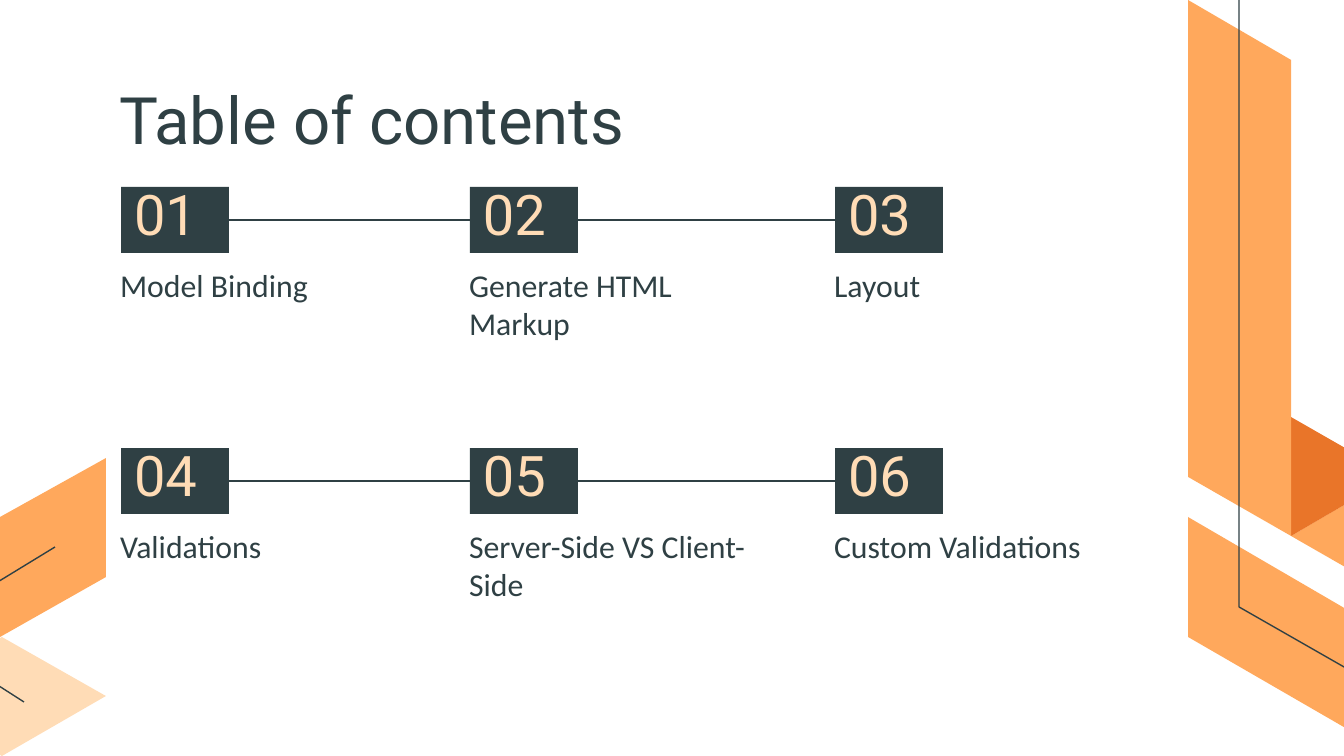
"""Build a table of contents slide with six numbered topics and ribbon decoration."""
from itertools import pairwise

from lxml import etree
from pptx import Presentation
from pptx.dml.color import RGBColor
from pptx.enum.shapes import MSO_CONNECTOR, MSO_SHAPE
from pptx.enum.text import MSO_ANCHOR, MSO_AUTO_SIZE, PP_ALIGN
from pptx.oxml.ns import qn
from pptx.util import Pt

RECTANGLE = MSO_SHAPE.RECTANGLE
STRAIGHT = MSO_CONNECTOR.STRAIGHT
TOP, MIDDLE = MSO_ANCHOR.TOP, MSO_ANCHOR.MIDDLE
LEFT = PP_ALIGN.LEFT
NO_FIT = MSO_AUTO_SIZE.NONE
RIGHT_SIDE, LEFT_SIDE = 3, 1

TITLE = "Table of contents"
TOPICS = [
    ["Model Binding", "Generate HTML Markup", "Layout"],
    ["Validations", "Server-Side VS Client-Side", "Custom Validations"],
]

THEME = {
    "dark": "2F4044", "orange": "FFA85C", "deep": "E97529", "peach": "FFDCB6",
    "paper": "FFFFFF", "heading": "Roboto", "body": "Calibri",
    "title_size": 35, "number_size": 30, "topic_size": 17, "line": 0.75,
}

LEFT_RIBBONS = [
    ("orange", [(0, 517), (106, 458), (106, 577), (0, 637)]),
    ("peach", [(2, 756), (-101, 696), (2, 637), (106, 696)]),
]
LEFT_LINE = [(24, 702), (-40, 661), (-40, 605), (55, 547)]
RIGHT_RIBBONS = [
    ("orange", [(1394, 595), (1497, 536), (1394, 476), (1291, 536)]),
    ("deep", [(1394, 476), (1291, 536), (1291, 417)]),
    ("orange", [(1188, 0), (1188, 477), (1291, 536), (1291, 60)]),
    ("orange", [(1188, 637), (1188, 517), (1394, 637), (1394, 756)]),
]
RIGHT_LINE = [(1239, 0), (1239, 607), (1456, 731)]

SCALE = 914400 / 134.4
SLIDE = (1344, 756)
TITLE_AREA = (106, 79, 1042, 77)
COLUMNS = [121, 470, 835]
ROWS = [187, 448]
NUMBER_SIZE = (108, 66)
TOPIC_SIZE = (304, 56)
INSET = 13
TOPIC_SHIFT = 14


def emu(*lengths):
    return [round(length * SCALE) for length in lengths]


def color(name):
    return RGBColor.from_string(THEME[name])


def fill_shape(shape, name):
    shape.shadow.inherit = False
    shape.fill.solid()
    shape.fill.fore_color.rgb = color(name)
    shape.line.fill.background()


def style_line(line):
    line.color.rgb = color("dark")
    line.width = Pt(THEME["line"])


def write(box, text, font, size, ink, anchor=TOP, top_inset=0):
    frame = box.text_frame
    inset = emu(INSET)[0]
    settings = {
        "word_wrap": True, "auto_size": NO_FIT, "vertical_anchor": anchor,
        "margin_left": inset, "margin_right": inset,
        "margin_top": emu(top_inset)[0], "margin_bottom": inset,
    }
    for name, value in settings.items():
        setattr(frame, name, value)
    para = frame.paragraphs[0]
    para.alignment = LEFT
    span = para.add_run()
    span.text = text
    span.font.name = THEME[font]
    span.font.size = Pt(THEME[size])
    span.font.color.rgb = color(ink)


def add_outline(page, points, close):
    builder = page.shapes.build_freeform(*points[0], scale=SCALE)
    builder.add_line_segments(points[1:], close=close)
    return builder.convert_to_shape()


def add_decoration(page, ribbons, line_points):
    for name, points in ribbons:
        fill_shape(add_outline(page, points, True), name)
    line = add_outline(page, line_points, False)
    line.shadow.inherit = False
    line.fill.background()
    style_line(line.line)


def add_topic(page, number, topic, left, top):
    width, height = NUMBER_SIZE
    badge = page.shapes.add_shape(RECTANGLE, *emu(left, top, width, height))
    fill_shape(badge, "dark")
    write(badge, f"{number:02}", "heading", "number_size", "peach", MIDDLE)
    label = page.shapes.add_textbox(*emu(left - TOPIC_SHIFT, top + height, *TOPIC_SIZE))
    write(label, topic, "body", "topic_size", "dark", top_inset=INSET)
    return badge


def join(page, start, end):
    connector = page.shapes.add_connector(STRAIGHT, 0, 0, 0, 0)
    connector.begin_connect(start, RIGHT_SIDE)
    connector.end_connect(end, LEFT_SIDE)
    style_line(connector.line)
    etree.SubElement(connector.element.spPr, qn("a:effectLst"))


def main():
    deck = Presentation()
    deck.slide_width, deck.slide_height = emu(*SLIDE)
    page = deck.slides.add_slide(deck.slide_layouts[5])
    page.background.fill.solid()
    page.background.fill.fore_color.rgb = color("paper")

    add_decoration(page, LEFT_RIBBONS, LEFT_LINE)
    title = page.shapes.title
    title.left, title.top, title.width, title.height = emu(*TITLE_AREA)
    write(title, TITLE, "heading", "title_size", "dark")

    for row, (top, topics) in enumerate(zip(ROWS, TOPICS)):
        first = row * len(COLUMNS) + 1
        badges = [
            add_topic(page, number, topic, left, top)
            for number, (topic, left) in enumerate(zip(topics, COLUMNS), first)
        ]
        for start, end in pairwise(badges):
            join(page, start, end)

    add_decoration(page, RIGHT_RIBBONS, RIGHT_LINE)
    deck.save("out.pptx")


if __name__ == "__main__":
    main()
